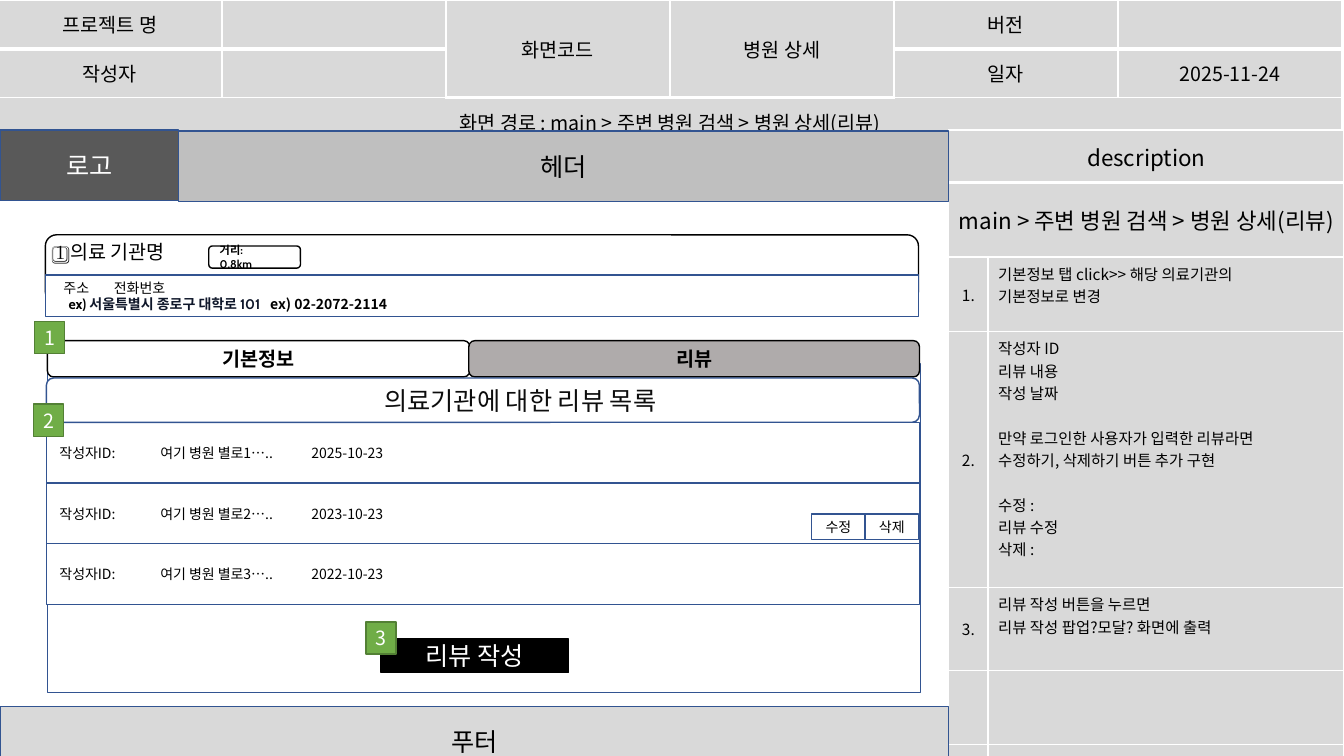
from dataclasses import dataclass

from lxml.etree import SubElement
from pptx import Presentation
from pptx.dml.color import RGBColor
from pptx.enum.shapes import MSO_SHAPE as Preset
from pptx.enum.text import MSO_ANCHOR as Anchor, PP_ALIGN as Align
from pptx.oxml import parse_xml
from pptx.oxml.ns import nsdecls, qn
from pptx.util import Inches, Pt


@dataclass(frozen=True)
class Theme:
    """Colours, fonts and type sizes of the slide."""
    black: str = "000000"
    white: str = "FFFFFF"
    panel: str = "D9D9D9"
    banner: str = "BFBFBF"
    logo: str = "595959"
    tab: str = "AFABAB"
    outline: str = "325491"
    marker: str = "70AD47"
    marker_line: str = "538035"
    address: str = "0F172A"
    list_title: str = "0D0D0D"
    font: str = "Noto Sans CJK KR"
    accent_font: str = "Cabin"
    title: int = 18
    heading: int = 16
    label: int = 14
    note: int = 11
    small: int = 10
    tiny: int = 8
    note_gap: int = 16


@dataclass(frozen=True)
class Box:
    """A rectangle in inches."""
    left: float
    top: float
    width: float
    height: float

    def area(self, left, top, width, height):
        """Return a box placed relative to this one."""
        return Box(self.left + left, self.top + top, width, height)

    def lengths(self):
        """Return the four measures as lengths."""
        return [Inches(value) for value in (self.left, self.top, self.width, self.height)]


THEME = Theme()


def add_run(paragraph, text, size, color=THEME.black, bold=False, font=THEME.font):
    """Add one formatted run to a paragraph."""
    run = paragraph.add_run()
    run.text = text
    run.font.size = Pt(size)
    run.font.name = font
    run.font.bold = bold
    run.font.color.rgb = RGBColor.from_string(color)
    SubElement(run.font._element, qn("a:ea")).set("typeface", THEME.font)


def set_tabs(paragraph, stops, indent=0):
    """Give a paragraph left tab stops and a left indent."""
    properties = paragraph._p.get_or_add_pPr()
    properties.set("marL", str(Inches(indent)))
    properties.set("indent", "0")
    tab_list = SubElement(properties, qn("a:tabLst"))
    for stop in stops:
        tab = SubElement(tab_list, qn("a:tab"))
        tab.set("pos", str(Inches(stop)))
        tab.set("algn", "l")


def add_block(slide, box, fill, line=THEME.outline, preset=Preset.RECTANGLE, inset=0.1):
    """Add an outlined shape and return its text frame."""
    shape = slide.shapes.add_shape(preset, *box.lengths())
    shape.shadow.inherit = False
    if fill:
        shape.fill.solid()
        shape.fill.fore_color.rgb = RGBColor.from_string(fill)
    else:
        shape.fill.background()
    shape.line.color.rgb = RGBColor.from_string(line)
    shape.line.width = Pt(1)
    frame = shape.text_frame
    frame.word_wrap = True
    frame.vertical_anchor = Anchor.MIDDLE
    frame.margin_left = Inches(inset)
    frame.paragraphs[0].alignment = Align.LEFT
    return frame


def add_label(slide, box, text, size, fill, color=THEME.black, bold=False, **look):
    """Add a shape with one centred label."""
    paragraph = add_block(slide, box, fill, **look).paragraphs[0]
    paragraph.alignment = Align.CENTER
    add_run(paragraph, text, size, color, bold)


def add_grid(slide, box, columns, rows):
    """Add a grey table with thin white borders."""
    table = slide.shapes.add_table(len(rows), len(columns), *box.lengths()).table
    table.first_row = table.horz_banding = False
    for column, width in zip(table.columns, columns):
        column.width = Inches(width)
    for row, height in zip(table.rows, rows):
        row.height = Inches(height)
    for index, row in enumerate(table.rows):
        for cell in row.cells:
            cell.fill.solid()
            cell.fill.fore_color.rgb = RGBColor.from_string(THEME.panel)
            for place, side in enumerate(("lnL", "lnR", "lnT", "lnB")):
                width = Pt(3 if index == 0 and side == "lnB" else 1)
                cell._tc.get_or_add_tcPr().insert(place, parse_xml(
                    f'<a:{side} {nsdecls("a")} w="{width}"><a:solidFill>'
                    f'<a:srgbClr val="{THEME.white}"/></a:solidFill></a:{side}>'))
    return table


def fill_cell(cell, text, size):
    """Write centred text into a cell."""
    cell.vertical_anchor = Anchor.MIDDLE
    paragraph = cell.text_frame.paragraphs[0]
    paragraph.alignment = Align.CENTER
    add_run(paragraph, text, size)


def document_table(slide, box):
    """Place the project details along the top."""
    table = add_grid(slide, box, [box.width / 6] * 6, [box.height / 3] * 3)
    for column in (2, 3):
        table.cell(0, column).merge(table.cell(1, column))
    table.cell(2, 0).merge(table.cell(2, 5))
    entries = {(0, 0): "프로젝트 명", (0, 2): "화면코드", (0, 3): "병원 상세", (0, 4): "버전",
               (1, 0): "작성자", (1, 4): "일자", (1, 5): "2025-11-24",
               (2, 0): "화면 경로 : main > 주변 병원 검색 > 병원 상세(리뷰)"}
    for (row, column), text in entries.items():
        cell = table.cell(row, column)
        cell.margin_top = cell.margin_bottom = Inches(0.1)
        fill_cell(cell, text, THEME.label)


def description_table(slide, box):
    """Place the numbered notes on the right."""
    table = add_grid(slide, box, [0.39, box.width - 0.39],
                     [0.52, 0.74, 0.74, 2.54, 0.82, 0.74, 0.74])
    headings = ["description", "main > 주변 병원 검색 > 병원 상세(리뷰)"]
    for row, text in enumerate(headings):
        table.cell(row, 0).merge(table.cell(row, 1))
        fill_cell(table.cell(row, 0), text, THEME.heading)
    notes = [
        [["기본정보 탭 click>> 해당 의료기관의", "기본정보로 변경"]],
        [["작성자 ID", "리뷰 내용", "작성 날짜"],
         ["만약 로그인한 사용자가 입력한 리뷰라면", "수정하기, 삭제하기 버튼 추가 구현"],
         ["수정 :", "리뷰 수정", "삭제 :"]],
        [["리뷰 작성 버튼을 누르면", "리뷰 작성 팝업?모달? 화면에 출력"]],
    ]
    for number, groups in enumerate(notes, 1):
        fill_cell(table.cell(number + 1, 0), f"{number}.", THEME.note)
        frame = table.cell(number + 1, 1).text_frame
        paragraph = frame.paragraphs[0]
        for group_index, group in enumerate(groups):
            for line_index, text in enumerate(group):
                if group_index or line_index:
                    paragraph = frame.add_paragraph()
                if group_index and not line_index:
                    paragraph.space_before = Pt(THEME.note_gap)
                add_run(paragraph, text, THEME.note)


def page_frame(slide, box):
    """Place the page header, logo slot and footer."""
    add_label(slide, box.area(1.77, 0.01, box.width - 1.77, 0.7), "헤더", THEME.title, THEME.banner)
    add_label(slide, box.area(0, 0, 1.77, 0.7), "로고", THEME.title, THEME.logo, THEME.white)
    add_label(slide, box.area(0, box.height - 0.7, box.width, 0.7), "푸터", THEME.title, THEME.panel)


def clinic_card(slide, box):
    """Place the clinic name, distance, address and phone."""
    rounded = {"line": THEME.black, "preset": Preset.ROUNDED_RECTANGLE}
    name = add_block(slide, box.area(0, 0, box.width, 0.67), THEME.white, inset=0.07, **rounded)
    name.vertical_anchor = Anchor.TOP
    name.margin_top = Inches(0.02)
    add_run(name.paragraphs[0], "1️⃣ 의료 기관명", THEME.label)
    distance = add_block(slide, box.area(1.62, 0.11, 0.91, 0.22), THEME.white, **rounded).paragraphs[0]
    add_run(distance, "거리:", THEME.tiny, bold=True, font=THEME.accent_font)
    distance.add_line_break()
    add_run(distance, "0.8km", THEME.tiny, bold=True, font=THEME.accent_font)
    contact = add_block(slide, box.area(0, 0.4, box.width, 0.41), THEME.white, inset=0.18)
    heading = contact.paragraphs[0]
    set_tabs(heading, [4.07])
    add_run(heading, "주소\t전화번호", THEME.small)
    example = contact.add_paragraph()
    example.alignment = Align.LEFT
    set_tabs(example, [3.71], indent=0.05)
    add_run(example, "ex) ", THEME.small, bold=True, font=THEME.accent_font)
    add_run(example, "서울특별시 종로구 대학로 101", THEME.small, THEME.address, True, THEME.accent_font)
    add_run(example, "\tex) 02-2072-2114", THEME.small, bold=True)


def review_panel(slide, box):
    """Place the tabs, review rows and buttons."""
    add_block(slide, box.area(0.01, 0.23, box.width, box.height - 0.23), THEME.white)
    rounded = {"preset": Preset.ROUNDED_RECTANGLE}
    tabs = [(0.01, 4.19, "기본정보", THEME.white), (4.19, 4.47, "리뷰", THEME.tab)]
    for left, width, text, fill in tabs:
        add_label(slide, box.area(left, 0, width, 0.36), text, THEME.label, fill,
                  bold=True, line=THEME.black, **rounded)
    reviews = ["2025-10-23", "2023-10-23", "2022-10-23"]
    for index, date in enumerate(reviews):
        row = box.area(0, 0.81 + 0.6 * index, box.width, 0.61)
        paragraph = add_block(slide, row, THEME.white, inset=0.13).paragraphs[0]
        set_tabs(paragraph, [0.72, 6.4])
        add_run(paragraph, f"작성자ID:\t여기 병원 별로{index + 1}…..\t{date}", THEME.small)
    add_label(slide, box.area(0, 0.37, box.width, 0.44), "의료기관에 대한 리뷰 목록",
              THEME.title, THEME.white, THEME.list_title, inset=0.84, **rounded)
    for index, text in enumerate(["수정", "삭제"]):
        add_label(slide, box.area(7.59 + 0.53 * index, 1.72, 0.53, 0.25), text, THEME.small, None)
    add_label(slide, box.area(3.32, 2.96, 1.86, 0.33), "리뷰 작성", THEME.title,
              THEME.black, THEME.white, line=THEME.black)
    for number, (left, top) in enumerate([(-0.12, -0.19), (-0.13, 0.63), (3.17, 2.79)], 1):
        add_label(slide, box.area(left, top, 0.3, 0.32), str(number), THEME.label,
                  THEME.marker, THEME.white, line=THEME.marker_line)


def main():
    """Build the screen design slide and save it."""
    presentation = Presentation()
    presentation.slide_width = Inches(13.33)
    presentation.slide_height = Inches(7.5)
    slide = presentation.slides.add_slide(presentation.slide_layouts[6])
    document_table(slide, Box(-0.02, 0, 13.33, 1.45))
    description_table(slide, Box(9.41, 1.29, 3.92, 6.84))
    page_frame(slide, Box(0, 1.29, 9.41, 6.42))
    clinic_card(slide, Box(0.45, 2.33, 8.66, 0.81))
    review_panel(slide, Box(0.46, 3.38, 8.66, 3.49))
    presentation.save("out.pptx")


if __name__ == "__main__":
    main()
